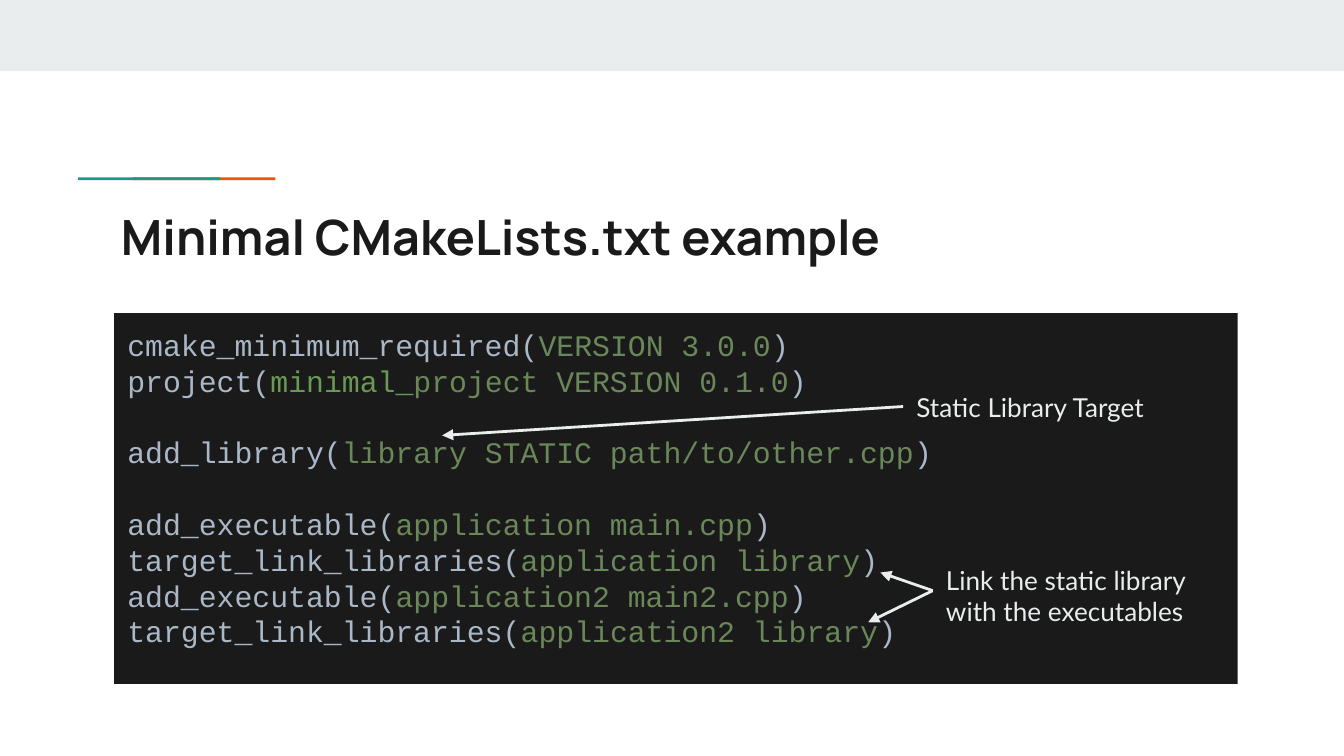
from lxml.etree import SubElement
from pptx import Presentation
from pptx.dml.color import RGBColor
from pptx.enum.shapes import MSO_CONNECTOR, MSO_SHAPE
from pptx.enum.text import MSO_ANCHOR, PP_ALIGN
from pptx.oxml.ns import qn
from pptx.util import Inches, Pt

WIDTH = 10
HEIGHT = WIDTH * 9 / 16
DARK, PALE = "1A1A1A", "E9EDEE"
TEAL, ORANGE = "1A9988", "EB5600"
COMMAND, ARGUMENT, PROJECT = "A9B7C6", "6A8759", "6A9955"

TITLE = "Minimal CMakeLists.txt example"
CODE = [
    [("cmake_minimum_required(", COMMAND), ("VERSION 3.0.0", ARGUMENT), (")", COMMAND)],
    [("project(", COMMAND), ("minimal_", PROJECT), ("project VERSION 0.1.0", ARGUMENT), (")", COMMAND)],
    [],
    [("add_library(", COMMAND), ("library STATIC path/to/other.cpp", ARGUMENT), (")", COMMAND)],
    [],
    [("add_executable(", COMMAND), ("application main.cpp", ARGUMENT), (")", COMMAND)],
    [("target_link_libraries(", COMMAND), ("application library", ARGUMENT), (")", COMMAND)],
    [("add_executable(", COMMAND), ("application2 main2.cpp", ARGUMENT), (")", COMMAND)],
    [("target_link_libraries(", COMMAND), ("application2 library", ARGUMENT), (")", COMMAND)],
]
CALLOUTS = [
    ("Static Library Target", (6.72, 2.81, 2.49, 0.43), [(3.29, 3.24)]),
    ("Link the static library with the executables", (6.94, 4.1, 2.16, 0.59),
     [(6.46, 4.63), (6.55, 4.26)]),
]
ACCENTS = [(0.99, ORANGE), (0.58, TEAL)]


def rgb(value):
    return RGBColor.from_string(value)


def inches(values):
    return [Inches(value) for value in values]


def style(run, name, size, color, bold=False):
    run.font.name = name
    run.font.size = Pt(size)
    run.font.color.rgb = rgb(color)
    run.font.bold = bold


def prepare(text_frame):
    text_frame.word_wrap = True
    text_frame.vertical_anchor = MSO_ANCHOR.TOP
    text_frame.margin_left = text_frame.margin_right = Inches(0.1)
    text_frame.margin_top = text_frame.margin_bottom = Inches(0.1)


def add_rectangle(slide, box, color):
    shape = slide.shapes.add_shape(MSO_SHAPE.RECTANGLE, *inches(box))
    shape.shadow.inherit = False
    shape.fill.solid()
    shape.fill.fore_color.rgb = rgb(color)
    shape.line.fill.background()
    return shape


def add_title(slide):
    title = slide.shapes.title
    title.left, title.top, title.width, title.height = inches((0.8, 1.44, 8.41, 0.59))
    prepare(title.text_frame)
    title.text_frame.text = TITLE
    paragraph = title.text_frame.paragraphs[0]
    paragraph.alignment = PP_ALIGN.LEFT
    paragraph.line_spacing = 1.0
    style(paragraph.runs[0], "Manrope", 26, DARK, True)


def add_code(slide):
    text_frame = add_rectangle(slide, (0.85, 2.33, 8.36, 2.76), DARK).text_frame
    prepare(text_frame)
    for index, line in enumerate(CODE):
        paragraph = text_frame.add_paragraph() if index else text_frame.paragraphs[0]
        paragraph.alignment = PP_ALIGN.LEFT
        paragraph.line_spacing = Pt(19.2)
        for text, color in line:
            run = paragraph.add_run()
            run.text = text
            style(run, "Courier New", 16, color)


def add_callout(slide, text, box, targets):
    label = slide.shapes.add_textbox(*inches(box))
    prepare(label.text_frame)
    label.text_frame.text = text
    style(label.text_frame.paragraphs[0].runs[0], "Lato", 14, PALE)
    left, top, width, height = box
    for target in targets:
        points = inches((left, top + height / 2, *target))
        arrow = slide.shapes.add_connector(MSO_CONNECTOR.STRAIGHT, *points)
        arrow.begin_connect(label, 1)
        arrow.line.color.rgb = rgb(PALE)
        arrow.line.width = Pt(1.5)
        SubElement(arrow.line._get_or_add_ln(), qn("a:tailEnd"), type="triangle")
        SubElement(arrow._element.spPr, qn("a:effectLst"))


def main():
    presentation = Presentation()
    presentation.slide_width, presentation.slide_height = inches((WIDTH, HEIGHT))
    slide = presentation.slides.add_slide(presentation.slide_layouts[5])
    add_rectangle(slide, (0, 0, WIDTH, 0.53), PALE)
    for left, color in ACCENTS:
        add_rectangle(slide, (left, 1.32, 1.06, 0.02), color)
    add_title(slide)
    add_code(slide)
    for callout in CALLOUTS:
        add_callout(slide, *callout)
    presentation.save("out.pptx")


if __name__ == "__main__":
    main()
